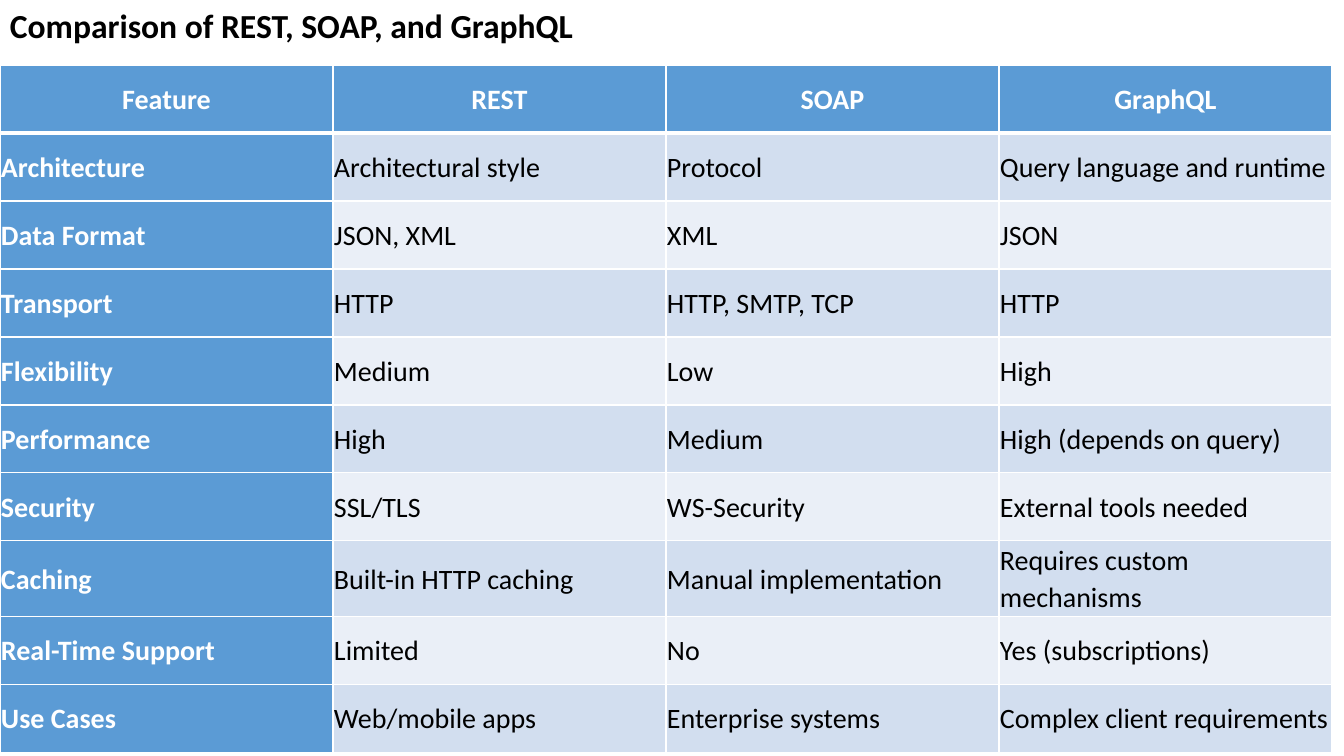
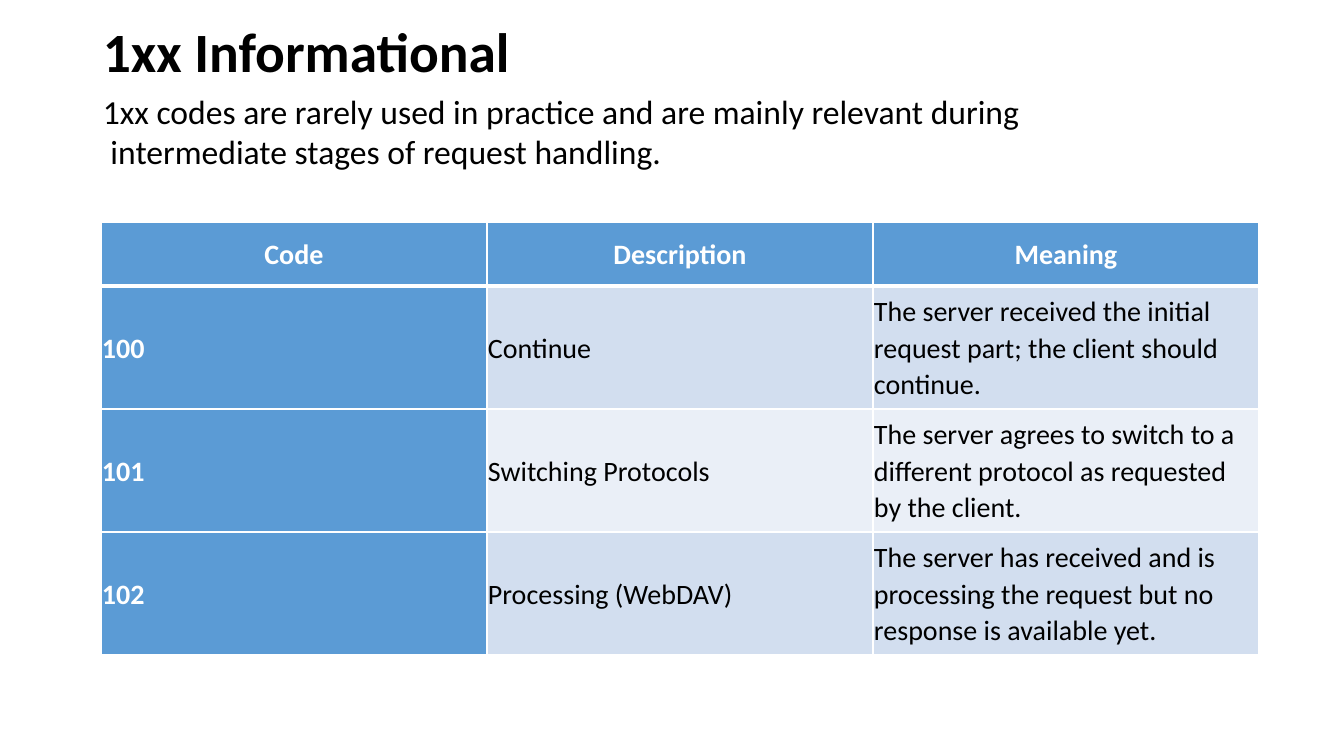
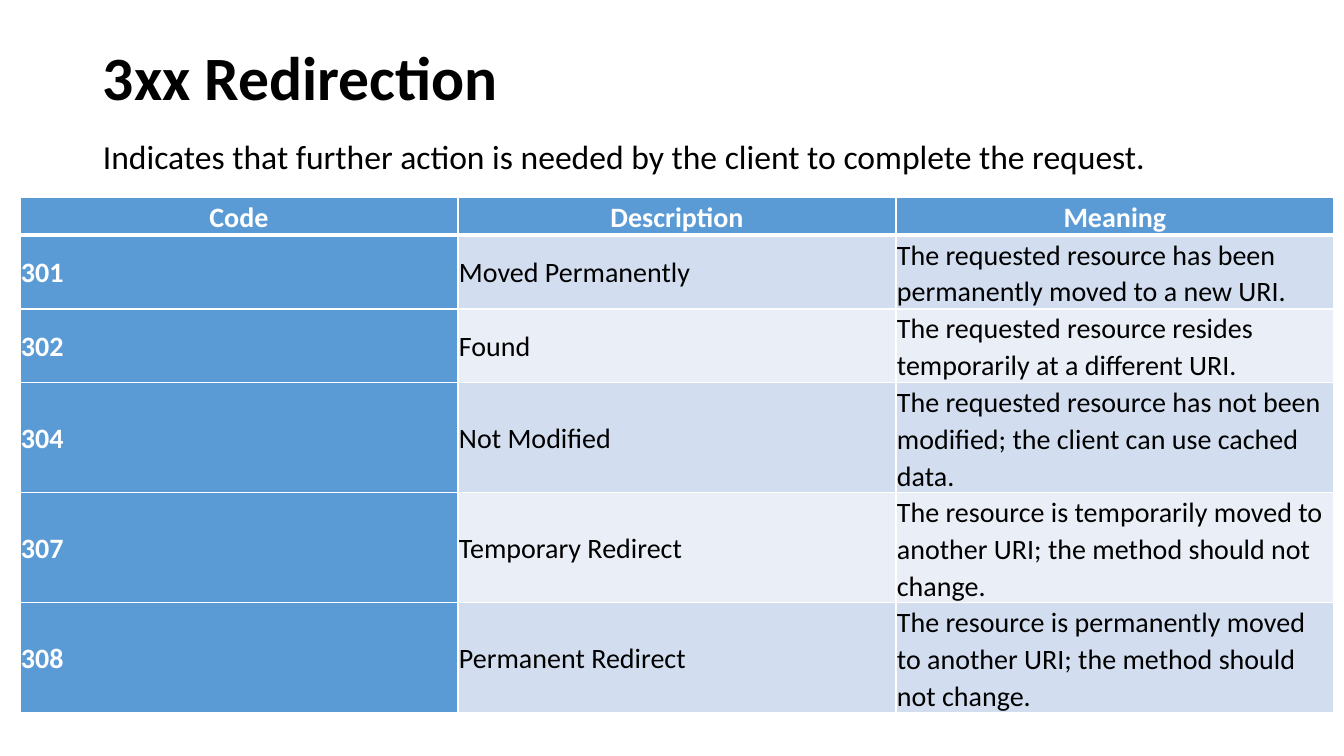
import pptx
import pptx.dml.color
import pptx.enum.text
import pptx.oxml
import pptx.oxml.ns
import pptx.util
from dataclasses import dataclass

EMU_PER_PX = 914400 / 100.8
ANCHOR = pptx.enum.text.MSO_ANCHOR
ALIGN = pptx.enum.text.PP_ALIGN


@dataclass(frozen=True)
class Theme:
    font: str = "Calibri"
    ink: str = "000000"
    paper: str = "FFFFFF"
    accent: str = "5B9BD5"
    bands: tuple = ("D2DEEF", "EAEFF7")
    cell_size: float = 20
    lead_size: float = 24
    cell_spacing: float = 1.07
    rule: int = 1
    header_rule: int = 3


THEME = Theme()


def px(length):
    return pptx.util.Emu(round(length * EMU_PER_PX))


def rgb(color):
    return pptx.dml.color.RGBColor.from_string(color)


def style_runs(paragraph, size, color, bold):
    for run in paragraph.runs:
        run.font.name = THEME.font
        run.font.size = pptx.util.Pt(size)
        run.font.bold = bold
        run.font.color.rgb = rgb(color)


def add_text(slide, box, text, size=THEME.lead_size, bold=False, anchor=ANCHOR.MIDDLE):
    frame = slide.shapes.add_textbox(*map(px, box)).text_frame
    frame.word_wrap = True
    frame.vertical_anchor = anchor
    frame.text = text
    for paragraph in frame.paragraphs:
        style_runs(paragraph, size, THEME.ink, bold)


def set_borders(cell, widths):
    """Draw the cell's sides; widths maps L, R, T, B to points."""
    properties = cell._tc.get_or_add_tcPr()
    for side, width in widths.items():
        properties.append(pptx.oxml.parse_xml(
            f'<a:ln{side} {pptx.oxml.ns.nsdecls("a")} w="{pptx.util.Pt(width)}">'
            f'<a:solidFill><a:srgbClr val="{THEME.paper}"/></a:solidFill></a:ln{side}>'))


def style_cell(cell, row, column):
    is_header = row == 0
    is_label = is_header or column == 0
    cell.margin_left = cell.margin_right = cell.margin_top = cell.margin_bottom = px(1)
    cell.vertical_anchor = ANCHOR.MIDDLE
    set_borders(cell, {
        "L": THEME.rule,
        "R": THEME.rule,
        "T": THEME.header_rule if row == 1 else THEME.rule,
        "B": THEME.header_rule if is_header else THEME.rule,
    })
    cell.fill.solid()
    cell.fill.fore_color.rgb = rgb(THEME.accent if is_label else THEME.bands[(row - 1) % 2])
    paragraph = cell.text_frame.paragraphs[0]
    paragraph.line_spacing = THEME.cell_spacing
    paragraph.alignment = ALIGN.CENTER if is_header else ALIGN.LEFT
    style_runs(paragraph, THEME.cell_size, THEME.paper if is_label else THEME.ink, is_label)


def add_grid(slide, left, top, column_width, header_height, row_height, rows):
    heights = [header_height] + [row_height] * (len(rows) - 1)
    columns = len(rows[0])
    table = slide.shapes.add_table(
        len(rows), columns, px(left), px(top), px(column_width * columns), px(sum(heights))).table
    table.first_col = True
    table.horz_banding = False
    for column in table.columns:
        column.width = px(column_width)
    for row, (height, texts) in enumerate(zip(heights, rows)):
        table.rows[row].height = px(height)
        for column, text in enumerate(texts):
            cell = table.cell(row, column)
            cell.text_frame.text = text
            style_cell(cell, row, column)


def add_blank(deck):
    return deck.slides.add_slide(deck.slide_layouts[6])


def add_comparison_slide(deck):
    slide = add_blank(deck)
    add_grid(slide, 0, 65, 333, 68, 68, [
        ("Feature", "REST", "SOAP", "GraphQL"),
        ("Architecture", "Architectural style", "Protocol", "Query language and runtime"),
        ("Data Format", "JSON, XML", "XML", "JSON"),
        ("Transport", "HTTP", "HTTP, SMTP, TCP", "HTTP"),
        ("Flexibility", "Medium", "Low", "High"),
        ("Performance", "High", "Medium", "High (depends on query)"),
        ("Security", "SSL/TLS", "WS-Security", "External tools needed"),
        ("Caching", "Built-in HTTP caching", "Manual implementation", "Requires custom mechanisms"),
        ("Real-Time Support", "Limited", "No", "Yes (subscriptions)"),
        ("Use Cases", "Web/mobile apps", "Enterprise systems", "Complex client requirements"),
    ])
    add_text(slide, (0, 0, 589, 50), "Comparison of REST, SOAP, and GraphQL", bold=True)


def add_status_slide(deck, title, title_top, title_size, summary, summary_box,
                     summary_anchor, grid, codes):
    slide = add_blank(deck)
    add_text(slide, (93, title_top, 1159, 80), title, title_size, bold=True)
    add_grid(slide, *grid, [("Code", "Description", "Meaning"), *codes])
    add_text(slide, summary_box, summary, anchor=summary_anchor)


def main():
    deck = pptx.Presentation()
    deck.slide_width, deck.slide_height = px(1344), px(756)

    add_comparison_slide(deck)

    # Informational codes
    add_status_slide(
        deck, "1xx Informational", 10, 39.6,
        "1xx codes are rarely used in practice and are mainly relevant during\n"
        " intermediate stages of request handling.",
        (93, 86, 946, 92), ANCHOR.TOP, (101, 222, 386, 64, 123), [
            ("100", "Continue",
             "The server received the initial request part; the client should continue."),
            ("101", "Switching Protocols",
             "The server agrees to switch to a different protocol as requested by the client."),
            ("102", "Processing (WebDAV)",
             "The server has received and is processing the request but no response is available yet."),
        ])

    # Redirection codes
    add_status_slide(
        deck, "3xx Redirection", 36, 44,
        "Indicates that further action is needed by the client to complete the request.",
        (93, 131, 1073, 50), ANCHOR.MIDDLE, (20, 197, 438, 35, 67), [
            ("301", "Moved Permanently",
             "The requested resource has been permanently moved to a new URI."),
            ("302", "Found",
             "The requested resource resides temporarily at a different URI."),
            ("304", "Not Modified",
             "The requested resource has not been modified; the client can use cached data."),
            ("307", "Temporary Redirect",
             "The resource is temporarily moved to another URI; the method should not change."),
            ("308", "Permanent Redirect",
             "The resource is permanently moved to another URI; the method should not change."),
        ])

    deck.save("out.pptx")


if __name__ == "__main__":
    main()
